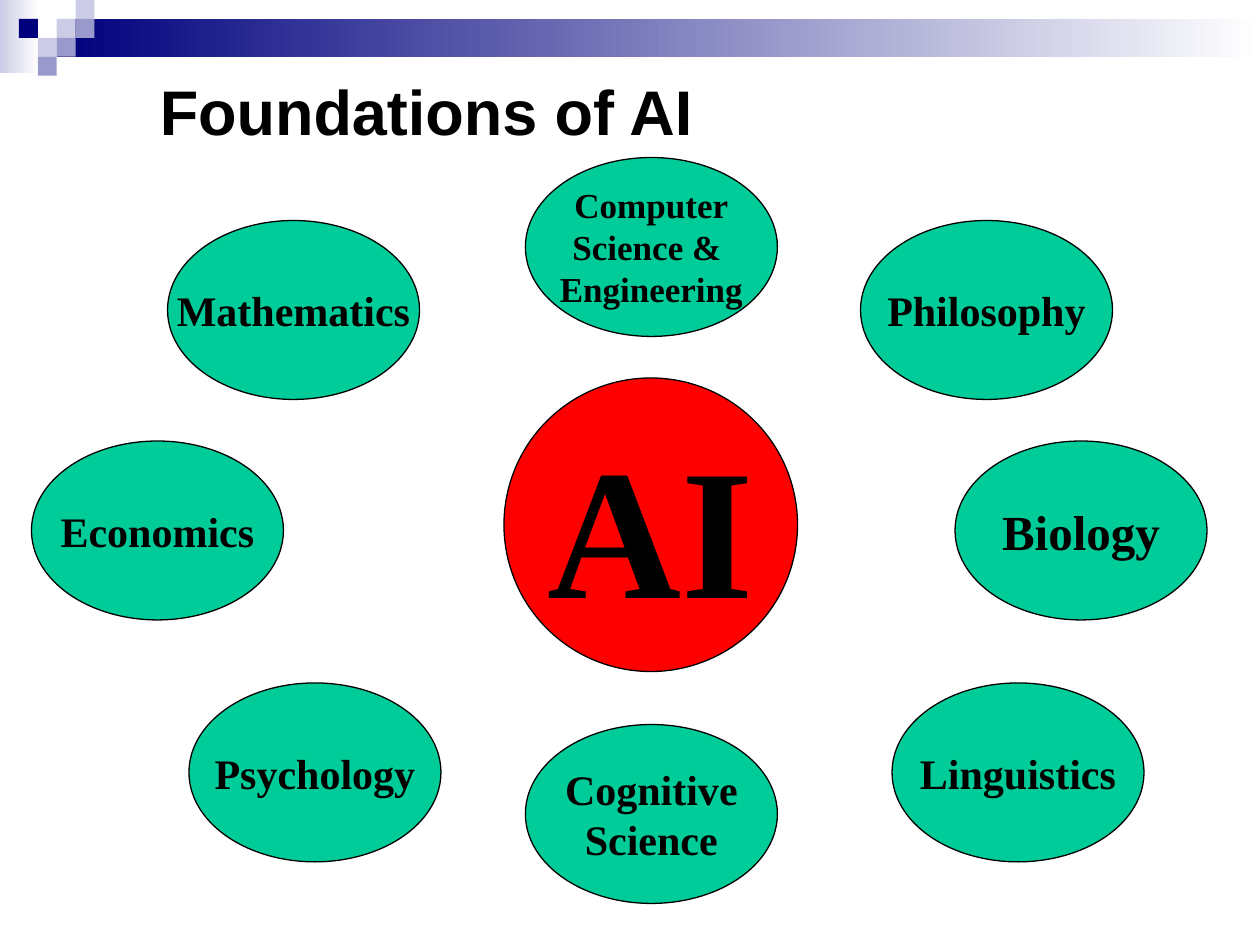
from pptx import Presentation
from pptx.dml.color import RGBColor
from pptx.enum.shapes import MSO_SHAPE as Preset
from pptx.enum.text import MSO_ANCHOR as Anchor, PP_ALIGN as Align
from pptx.util import Inches, Pt

BLACK = RGBColor(0x00, 0x00, 0x00)
WHITE = RGBColor(0xFF, 0xFF, 0xFF)
NAVY = RGBColor(0x00, 0x00, 0x7D)
LAVENDER = RGBColor(0xCC, 0xCC, 0xE6)
PERIWINKLE = RGBColor(0x99, 0x99, 0xCC)
GREEN = RGBColor(0x00, 0xCC, 0x99)
RED = RGBColor(0xFF, 0x00, 0x00)

TILE = 0.15
TILES = [
    (3, 1, LAVENDER),
    (4, 0, LAVENDER),
    (4, 1, PERIWINKLE),
    (2, 2, LAVENDER),
    (1, 1, NAVY),
    (3, 2, PERIWINKLE),
    (2, 3, PERIWINKLE),
]

FIELD_SIZE = (2, 1.42)
FIELDS = [
    ("Computer\nScience & \nEngineering", 4.17, 1.25, 20),
    ("Mathematics", 1.33, 1.75, 24),
    ("Cognitive\nScience", 4.17, 5.75, 24),
    ("Philosophy", 6.83, 1.75, 24),
    ("Psychology", 1.5, 5.42, 24),
    ("Linguistics", 7.08, 5.42, 24),
    ("Biology", 7.58, 3.5, 28),
    ("Economics", 0.25, 3.5, 24),
]


def to_inches(box):
    return [Inches(length) for length in box]


def write_text(frame, text, font_format, align, wrap):
    frame.text = text
    frame.word_wrap = wrap
    frame.vertical_anchor = Anchor.MIDDLE
    for paragraph in frame.paragraphs:
        paragraph.alignment = align
        paragraph.font.color.rgb = BLACK
        for attribute, value in font_format.items():
            setattr(paragraph.font, attribute, value)


def add_block(slide, box, preset=Preset.RECTANGLE):
    block = slide.shapes.add_shape(preset, *to_inches(box))
    block.shadow.inherit = False
    block.line.fill.background()
    return block


def add_fade(slide, box, start):
    fade = add_block(slide, box).fill
    fade.gradient()
    fade.gradient_angle = 0
    for stop, color in zip(fade.gradient_stops, (start, WHITE)):
        stop.color.rgb = color


def add_banner(slide, box):
    left, top, width, height = box
    add_fade(slide, (left, top, 0.31, height), LAVENDER)
    bar_left = 3 * TILE
    add_fade(slide, (left + bar_left, top + TILE, width - bar_left, 2 * TILE), NAVY)
    for column, row, color in TILES:
        tile = add_block(slide, (left + column * TILE, top + row * TILE, TILE, TILE))
        tile.fill.solid()
        tile.fill.fore_color.rgb = color


def add_title(slide, box, text):
    title = slide.shapes.add_textbox(*to_inches(box))
    font_format = {"name": "Arial", "size": Pt(36), "bold": True}
    write_text(title.text_frame, text, font_format, Align.LEFT, True)


def add_bubble(slide, box, text, size, color):
    bubble = add_block(slide, box, Preset.OVAL)
    bubble.fill.solid()
    bubble.fill.fore_color.rgb = color
    bubble.line.color.rgb = BLACK
    bubble.line.width = Pt(0.75)
    font_format = {"name": "Times New Roman", "size": Pt(size), "bold": True}
    write_text(bubble.text_frame, text, font_format, Align.CENTER, False)


def main():
    deck = Presentation()
    deck.slide_width, deck.slide_height = Inches(10), Inches(7.5)
    slide = deck.slides.add_slide(deck.slide_layouts[6])
    add_banner(slide, (0, 0, 10, 0.58))
    add_title(slide, (1.17, 0.25, 8.5, 1.25), "Foundations of AI")
    add_bubble(slide, (4, 3, 2.33, 2.33), "AI", 106, RED)
    for field, left, top, size in FIELDS:
        add_bubble(slide, (left, top, *FIELD_SIZE), field, size, GREEN)
    deck.save("out.pptx")


if __name__ == "__main__":
    main()
